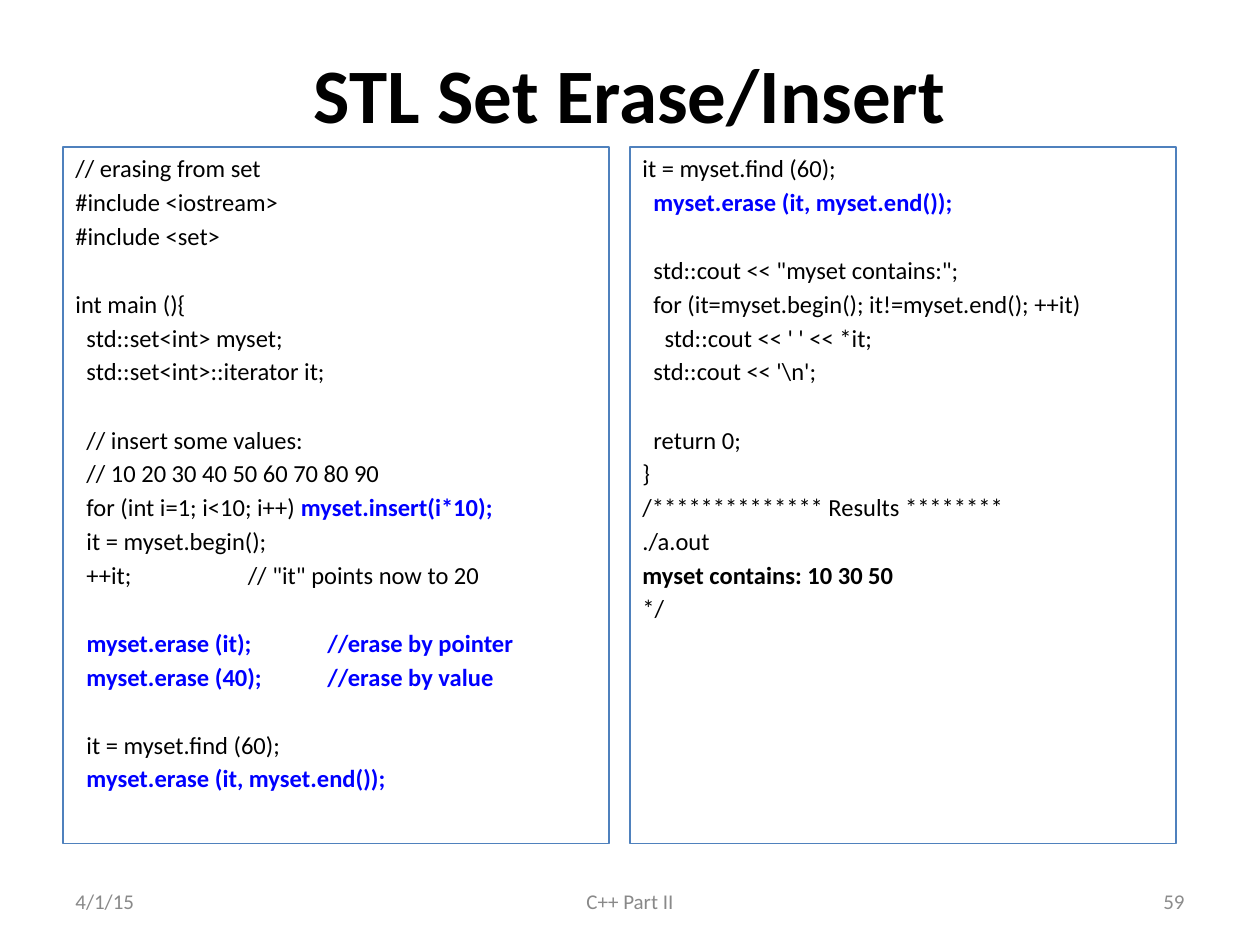
from dataclasses import dataclass
from typing import NamedTuple

from lxml.etree import SubElement
from pptx import Presentation
from pptx.dml.color import RGBColor
from pptx.enum.shapes import MSO_SHAPE as Preset
from pptx.enum.text import MSO_ANCHOR as Anchor, PP_ALIGN as Align
from pptx.oxml.ns import qn
from pptx.util import Pt


@dataclass(frozen=True)
class Theme:
    font: str = "Calibri"
    black: str = "000000"
    blue: str = "0000FF"
    border: str = "4F81BD"
    footer: str = "898989"
    page_number: str = "8C8C8C"
    title_size: float = 44
    code_size: float = 14
    footer_size: float = 12
    border_width: float = 0.75
    line_gap: float = 2.5
    blank_line: float = 19.6
    tab_stops: tuple[float, ...] = (108, 144)


class Box(NamedTuple):
    left: float
    top: float
    width: float
    height: float


class Label(NamedTuple):
    text: str
    box: Box
    align: Align
    size: float
    color: str
    bold: bool = False


class CodeLine(NamedTuple):
    plain: str = ""
    strong: str = ""
    after_blank: bool = False
    strong_color: str = "0000FF"


class Panel(NamedTuple):
    left: float
    lines: tuple[CodeLine, ...]


THEME = Theme()
PANEL_TOP, PANEL_WIDTH, PANEL_HEIGHT = 84, 312, 398
FOOTER_TOP, FOOTER_HEIGHT = 500.4, 28.8

LABELS = (
    Label("STL Set Erase/Insert", Box(36, 21.6, 648, 62.4), Align.CENTER,
          THEME.title_size, THEME.black, True),
    Label("4/1/15", Box(36, FOOTER_TOP, 168, FOOTER_HEIGHT), Align.LEFT,
          THEME.footer_size, THEME.footer),
    Label("C++ Part II", Box(246, FOOTER_TOP, 228, FOOTER_HEIGHT), Align.CENTER,
          THEME.footer_size, THEME.footer),
    Label("59", Box(516, FOOTER_TOP, 168, FOOTER_HEIGHT), Align.RIGHT,
          THEME.footer_size, THEME.page_number),
)

PANELS = (
    Panel(36, (
        CodeLine("// erasing from set"),
        CodeLine("#include <iostream>"),
        CodeLine("#include <set>"),
        CodeLine("int main (){", after_blank=True),
        CodeLine("  std::set<int> myset;"),
        CodeLine("  std::set<int>::iterator it;"),
        CodeLine("  // insert some values:", after_blank=True),
        CodeLine("  // 10 20 30 40 50 60 70 80 90"),
        CodeLine("  for (int i=1; i<10; i++) ", "myset.insert(i*10);"),
        CodeLine("  it = myset.begin();"),
        CodeLine("  ++it;                     // \"it\" points now to 20"),
        CodeLine("  ", "myset.erase (it);\t\t//erase by pointer", after_blank=True),
        CodeLine("", "  myset.erase (40);\t\t//erase by value"),
        CodeLine("  it = myset.find (60);", after_blank=True),
        CodeLine("", "  myset.erase (it, myset.end());"),
    )),
    Panel(360, (
        CodeLine("it = myset.find (60);"),
        CodeLine("", "  myset.erase (it, myset.end());"),
        CodeLine("  std::cout << \"myset contains:\";", after_blank=True),
        CodeLine("  for (it=myset.begin(); it!=myset.end(); ++it)"),
        CodeLine("    std::cout << ' ' << *it;"),
        CodeLine("  std::cout << '\\n';"),
        CodeLine("  return 0;", after_blank=True),
        CodeLine("}"),
        CodeLine("/************** Results ********"),
        CodeLine("./a.out"),
        CodeLine("", "myset contains: 10 30 50", strong_color=THEME.black),
        CodeLine("*/"),
    )),
)


def add_run(paragraph, text: str, size: float, color: str, bold: bool) -> None:
    run = paragraph.add_run()
    run.text = text
    formats = {"name": THEME.font, "size": Pt(size), "bold": bold}
    for name, value in formats.items():
        setattr(run.font, name, value)
    run.font.color.rgb = RGBColor.from_string(color)


def format_frame(frame, anchor: Anchor) -> None:
    formats = {
        "word_wrap": True, "vertical_anchor": anchor,
        "margin_left": Pt(7.2), "margin_right": Pt(7.2),
        "margin_top": Pt(3.6), "margin_bottom": Pt(3.6),
    }
    for name, value in formats.items():
        setattr(frame, name, value)


def add_tab_stops(paragraph) -> None:
    properties = paragraph._p.get_or_add_pPr()
    tab_list = SubElement(properties, qn("a:tabLst"))
    for position in THEME.tab_stops:
        SubElement(tab_list, qn("a:tab"), pos=str(Pt(position)), algn="l")


def draw_label(slide, label: Label) -> None:
    shape = slide.shapes.add_textbox(*map(Pt, label.box))
    format_frame(shape.text_frame, Anchor.MIDDLE)
    paragraph = shape.text_frame.paragraphs[0]
    paragraph.alignment = label.align
    add_run(paragraph, label.text, label.size, label.color, label.bold)


def draw_panel(slide, panel: Panel) -> None:
    box = Box(panel.left, PANEL_TOP, PANEL_WIDTH, PANEL_HEIGHT)
    shape = slide.shapes.add_shape(Preset.RECTANGLE, *map(Pt, box))
    shape.shadow.inherit = False
    shape.fill.background()
    shape.line.color.rgb = RGBColor.from_string(THEME.border)
    shape.line.width = Pt(THEME.border_width)
    frame = shape.text_frame
    format_frame(frame, Anchor.TOP)
    for index, line in enumerate(panel.lines):
        paragraph = frame.add_paragraph() if index else frame.paragraphs[0]
        if "\t" in line.strong:
            add_tab_stops(paragraph)
        paragraph.alignment = Align.LEFT
        gap = THEME.line_gap + THEME.blank_line * line.after_blank
        paragraph.space_before = Pt(gap if index else 0)
        if line.plain:
            add_run(paragraph, line.plain, THEME.code_size, THEME.black, False)
        if line.strong:
            add_run(paragraph, line.strong, THEME.code_size, line.strong_color, True)


def main() -> None:
    presentation = Presentation()
    presentation.slide_width, presentation.slide_height = Pt(720), Pt(540)
    slide = presentation.slides.add_slide(presentation.slide_layouts[6])
    for label in LABELS:
        draw_label(slide, label)
    for panel in PANELS:
        draw_panel(slide, panel)
    presentation.save("out.pptx")


if __name__ == "__main__":
    main()
